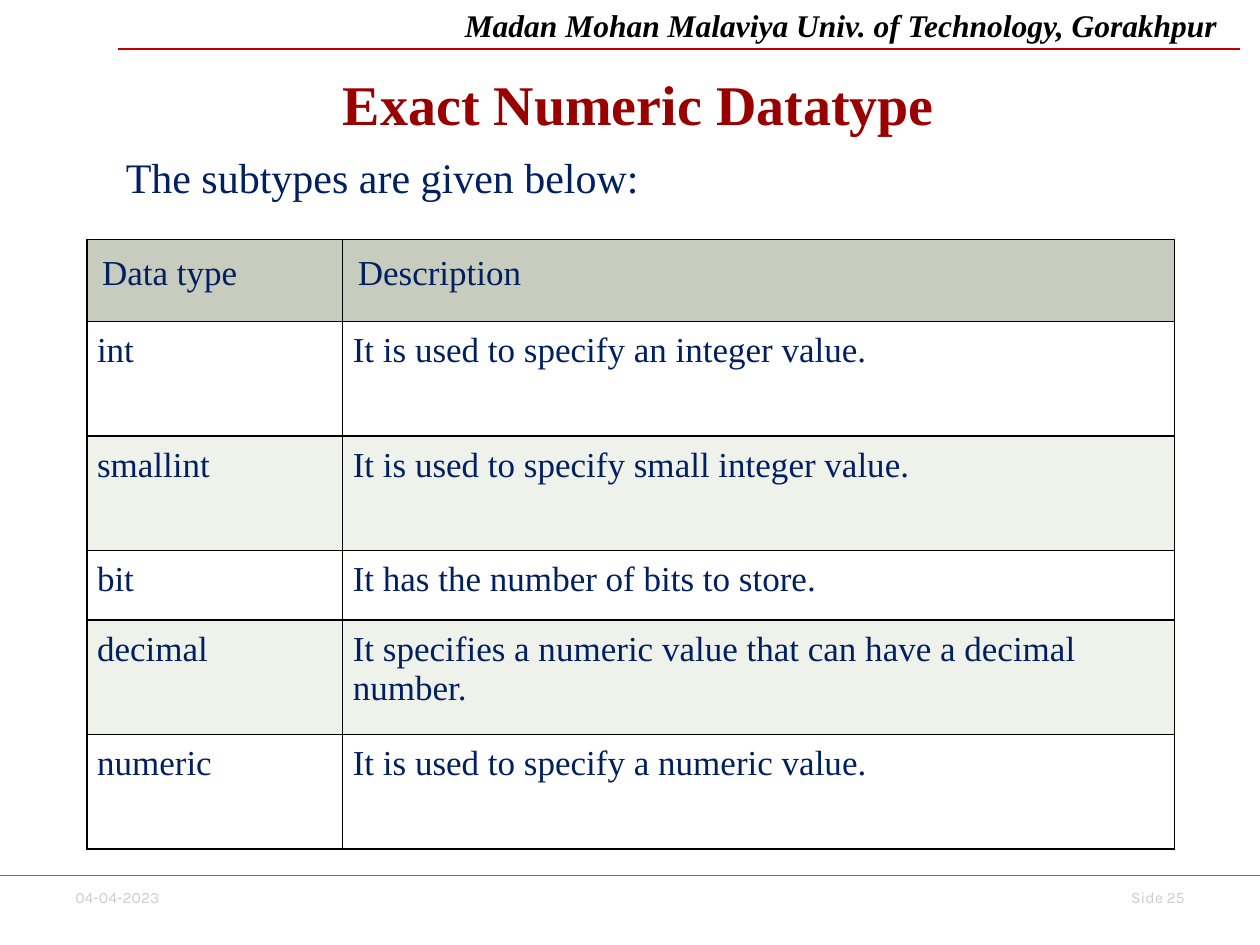
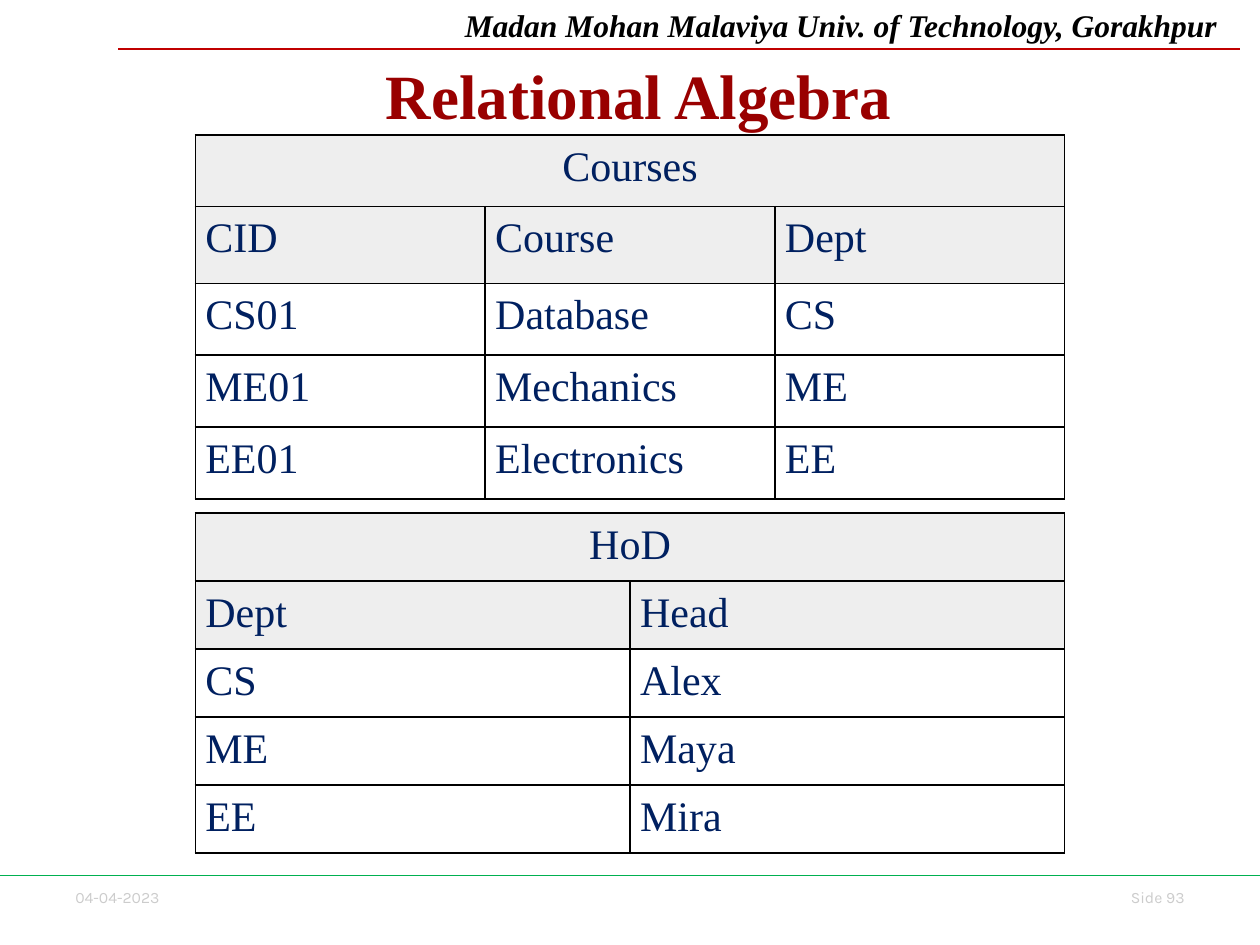
from lxml.etree import SubElement
from pptx import Presentation
from pptx.dml.color import RGBColor
from pptx.enum.shapes import MSO_CONNECTOR
from pptx.enum.text import MSO_ANCHOR, MSO_AUTO_SIZE, PP_ALIGN
from pptx.oxml.ns import qn
from pptx.util import Inches, Pt

COLORS = {
    "title": "990000",
    "text": "002060",
    "header": "000000",
    "footer": "CCCCCC",
    "top_rule": "C00000",
    "bottom_rule": "00B050",
    "border": "000000",
    "type_header": "C7CCBE",
    "type_band": "EFF1EB",
    "white": "FFFFFF",
    "relation_header": "EEEEEE",
}
SERIF = "Times New Roman"
FOOTER_FONT = "Karla"
UNIVERSITY = "Madan Mohan Malaviya Univ. of Technology, Gorakhpur"
DATE = "04-04-2023"

DATA_TYPES = [
    ("Data type", "Description"),
    ("int", "It is used to specify an integer value."),
    ("smallint", "It is used to specify small integer value."),
    ("bit", "It has the number of bits to store."),
    ("decimal", "It specifies a numeric value that can have a decimal number."),
    ("numeric", "It is used to specify a numeric value."),
]
COURSES = [
    ("CID", "Course", "Dept"),
    ("CS01", "Database", "CS"),
    ("ME01", "Mechanics", "ME"),
    ("EE01", "Electronics", "EE"),
]
HEADS = [("Dept", "Head"), ("CS", "Alex"), ("ME", "Maya"), ("EE", "Mira")]


def rgb(name):
    """Return the named colour."""
    return RGBColor.from_string(COLORS[name])


def write(text_frame, text, size, color, face=SERIF, bold=False, italic=False,
          align=PP_ALIGN.LEFT):
    """Write one formatted paragraph into a text frame."""
    text_frame.word_wrap = True
    paragraph = text_frame.paragraphs[0]
    paragraph.text = text
    paragraph.alignment = align
    font = paragraph.font
    font.name, font.size, font.bold, font.italic = face, Pt(size), bold, italic
    font.color.rgb = rgb(color)


def add_text(slide, box, text, size, color, **style):
    """Add a text box at the given left, top, width and height."""
    shape = slide.shapes.add_textbox(*map(Inches, box))
    write(shape.text_frame, text, size, color, **style)


def add_rule(slide, left, right, top, color):
    """Add a thin horizontal rule."""
    rule = slide.shapes.add_connector(
        MSO_CONNECTOR.STRAIGHT, Inches(left), Inches(top), Inches(right), Inches(top))
    rule.line.color.rgb = rgb(color)
    rule.line.width = Pt(0.75)
    SubElement(rule._element.spPr, qn("a:effectLst"))


def add_frame(slide, number):
    """Add the header and footer that every slide carries."""
    add_text(slide, (0.5, 7, 1.03, 0.25), DATE, 9, "footer", face=FOOTER_FONT)
    add_text(slide, (8.67, 7, 0.83, 0.25), f"Side {number}", 9, "footer",
             face=FOOTER_FONT, align=PP_ALIGN.RIGHT)
    add_text(slide, (3.59, 0, 6.41, 0.4), UNIVERSITY, 18, "header",
             bold=True, italic=True)
    add_rule(slide, 0.94, 9.84, 0.39, "top_rule")
    add_rule(slide, 0, 10, 6.95, "bottom_rule")


def set_title(slide, box, text, size):
    """Place and format the title placeholder."""
    title = slide.shapes.title
    title.left, title.top, title.width, title.height = map(Inches, box)
    title.text_frame.auto_size = MSO_AUTO_SIZE.NONE
    title.text_frame.vertical_anchor = MSO_ANCHOR.MIDDLE
    write(title.text_frame, text, size, "title", bold=True, align=PP_ALIGN.CENTER)


def add_slide(presentation, number, title_box, title, title_size):
    """Add a titled slide with the shared header and footer."""
    slide = presentation.slides.add_slide(presentation.slide_layouts.get_by_name("Title Only"))
    add_frame(slide, number)
    set_title(slide, title_box, title, title_size)
    return slide


def add_borders(cell):
    """Draw a thin line on all four sides of a cell."""
    properties = cell._tc.get_or_add_tcPr()
    for side in ("a:lnL", "a:lnR", "a:lnT", "a:lnB"):
        line = SubElement(properties, qn(side), w=str(Pt(1)))
        fill = SubElement(line, qn("a:solidFill"))
        SubElement(fill, qn("a:srgbClr"), val=COLORS["border"])


def fill_cell(cell, text, size, fill, inset, align=PP_ALIGN.LEFT):
    """Give a cell its borders, fill, margins and text."""
    add_borders(cell)
    if fill:
        cell.fill.solid()
        cell.fill.fore_color.rgb = rgb(fill)
    else:
        cell.fill.background()
    cell.margin_left = cell.margin_right = Inches(inset[0])
    cell.margin_top = cell.margin_bottom = Inches(inset[1])
    write(cell.text_frame, text, size, "text", align=align)


def add_grid(slide, left, top, widths, heights):
    """Add a plain table with the given column widths and row heights."""
    table = slide.shapes.add_table(
        len(heights), len(widths), Inches(left), Inches(top),
        Inches(sum(widths)), Inches(sum(heights))).table
    table.first_row = table.horz_banding = False
    for column, width in zip(table.columns, widths):
        column.width = Inches(width)
    for row, height in zip(table.rows, heights):
        row.height = Inches(height)
    return table


def add_type_table(slide, left, top):
    """Add the banded table of data types."""
    table = add_grid(slide, left, top, (2.03, 6.6), (0.65, 0.91, 0.91, 0.55, 0.91, 0.91))
    for row, entries in enumerate(DATA_TYPES):
        band = "white" if row % 2 else "type_band"
        fill, inset = (band, (0.08, 0.08)) if row else ("type_header", (0.12, 0.12))
        for column, text in enumerate(entries):
            fill_cell(table.cell(row, column), text, 20, fill, inset)


def add_relation(slide, left, top, width, heights, name, rows):
    """Add a relation with its name across the top and equal columns."""
    count = len(rows[0])
    table = add_grid(slide, left, top, [width / count] * count, heights)
    named_rows = [(name,) + ("",) * (count - 1)] + rows
    for row, entries in enumerate(named_rows):
        fill = "relation_header" if row < 2 else None
        align = PP_ALIGN.LEFT if row else PP_ALIGN.CENTER
        for column, text in enumerate(entries):
            fill_cell(table.cell(row, column), text, 24, fill, (0.08, 0.07), align)
    table.cell(0, 0).merge(table.cell(0, count - 1))


def build_datatype_slide(presentation):
    """Build the slide on exact numeric data types."""
    slide = add_slide(presentation, 25, (0.78, 0.44, 8.58, 0.75),
                      "Exact Numeric Datatype", 32)
    add_text(slide, (0.9, 1.15, 8.46, 0.51), "The subtypes are given below:", 24, "text")
    add_type_table(slide, 0.69, 1.9)


def build_algebra_slide(presentation):
    """Build the slide with the two relations."""
    slide = add_slide(presentation, 93, (0.78, 0.36, 8.58, 0.77),
                      "Relational Algebra", 36)
    add_relation(slide, 1.55, 1.07, 6.9, (0.57, 0.61, 0.57, 0.57, 0.57), "Courses", COURSES)
    add_relation(slide, 1.55, 4.07, 6.9, [2.67 / 5] * 5, "HoD", HEADS)


def main():
    """Build and save the presentation."""
    presentation = Presentation()
    presentation.slide_width, presentation.slide_height = Inches(10), Inches(7.5)
    build_datatype_slide(presentation)
    build_algebra_slide(presentation)
    presentation.save("out.pptx")


if __name__ == "__main__":
    main()
